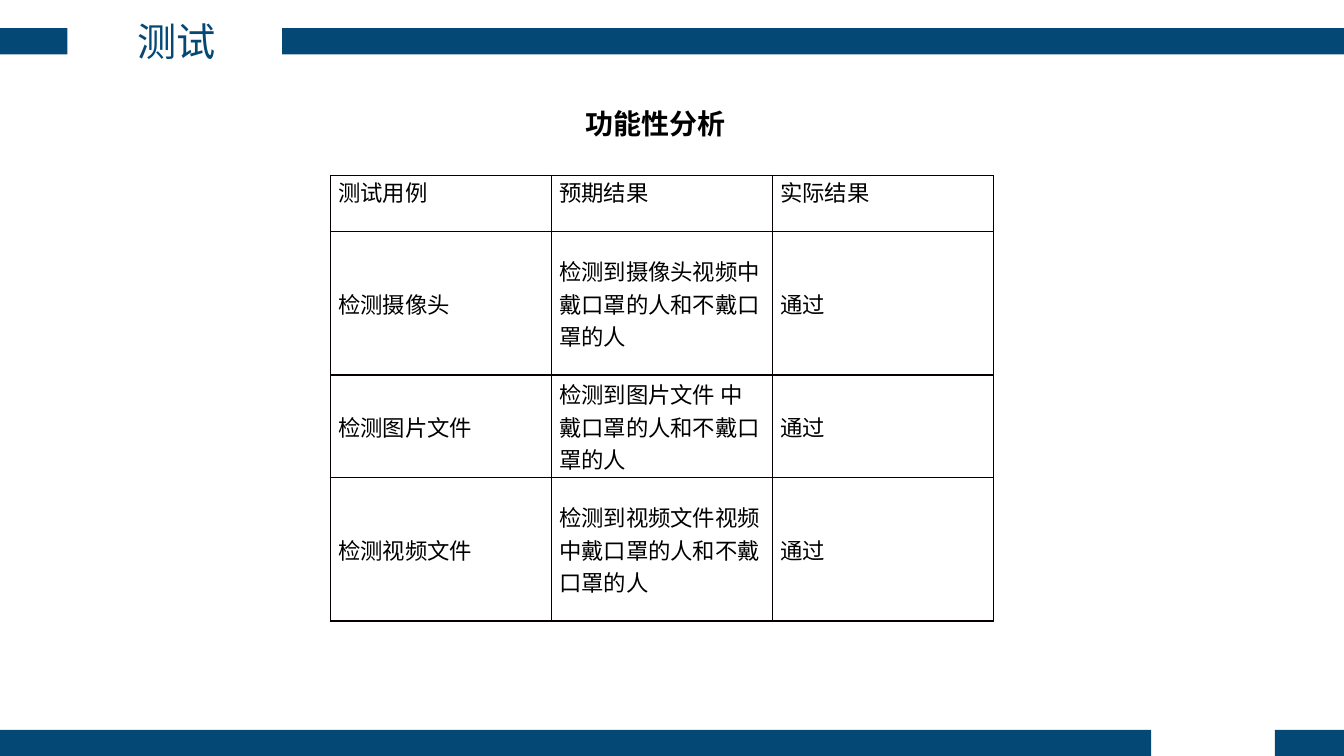
from lxml.etree import SubElement
from pptx import Presentation
from pptx.dml.color import RGBColor
from pptx.enum.shapes import MSO_SHAPE
from pptx.enum.text import MSO_ANCHOR, PP_ALIGN
from pptx.oxml.ns import qn
from pptx.util import Cm, Pt

COLORS = {"band": "044875", "text": "000000", "border": "080000"}
CJK_FONT = "Noto Sans CJK SC"
SLIDE_WIDTH, SLIDE_HEIGHT = 33.87, 19.05
BAND_HEIGHT = 0.66
ROW_HEIGHTS = [1.42, 3.61, 2.59, 3.61]
TEST_CASES = [
    ["测试用例", "预期结果", "实际结果"],
    ["检测摄像头", "检测到摄像头视频中戴口罩的人和不戴口罩的人", "通过"],
    ["检测图片文件", "检测到图片文件 中戴口罩的人和不戴口罩的人", "通过"],
    ["检测视频文件", "检测到视频文件视频中戴口罩的人和不戴口罩的人", "通过"],
]


def format_paragraph(paragraph, size, color, latin=CJK_FONT, bold=False):
    """Set the font of a paragraph for Latin and Chinese text."""
    font = paragraph.font
    font.size, font.bold, font.name = Pt(size), bold, latin
    font.color.rgb = RGBColor.from_string(COLORS[color])
    properties = paragraph._p.pPr.find(qn("a:defRPr"))
    SubElement(properties, qn("a:ea"), typeface=CJK_FONT)


def format_frame(frame):
    """Centre one line of text vertically in its box."""
    frame.margin_top = frame.margin_bottom = 0
    frame.margin_left = frame.margin_right = Cm(0.25)
    frame.vertical_anchor = MSO_ANCHOR.MIDDLE


def add_band(slide, top, gap_left, gap_right):
    """Draw a full-width band interrupted by one gap."""
    for left, right in ((0, gap_left), (gap_right, SLIDE_WIDTH)):
        band = slide.shapes.add_shape(
            MSO_SHAPE.RECTANGLE, Cm(left), Cm(top), Cm(right - left), Cm(BAND_HEIGHT))
        band.shadow.inherit = False
        band.fill.solid()
        band.fill.fore_color.rgb = RGBColor.from_string(COLORS["band"])
        band.line.fill.background()


def place_title(slide, text, left, top, width, height):
    """Place the slide title in the gap of the upper band."""
    title = slide.shapes.title
    title.left, title.top, title.width, title.height = map(Cm, (left, top, width, height))
    title.text_frame.text = text
    format_frame(title.text_frame)
    paragraph = title.text_frame.paragraphs[0]
    paragraph.alignment = PP_ALIGN.CENTER
    format_paragraph(paragraph, 28, "band")


def add_heading(slide, text, left, top, width, height):
    """Add the bold heading above the table."""
    heading = slide.shapes.add_textbox(*map(Cm, (left, top, width, height)))
    frame = heading.text_frame
    frame.text = text
    frame.word_wrap = True
    format_frame(frame)
    format_paragraph(frame.paragraphs[0], 20, "text", "Calibri", True)


def add_borders(cell):
    """Give a cell a thin line on all four sides."""
    properties = cell._tc.get_or_add_tcPr()
    for index, side in enumerate(("lnL", "lnR", "lnT", "lnB")):
        line = properties.makeelement(qn(f"a:{side}"), {"w": str(Pt(1))})
        fill = SubElement(line, qn("a:solidFill"))
        SubElement(fill, qn("a:srgbClr"), val=COLORS["border"])
        properties.insert(index, line)


def add_test_table(slide, left, top, width):
    """Add the table of test cases with equal columns."""
    frame = slide.shapes.add_table(
        len(TEST_CASES), len(TEST_CASES[0]),
        Cm(left), Cm(top), Cm(width), Cm(sum(ROW_HEIGHTS)))
    table = frame.table
    table.first_row = table.horz_banding = False
    for row_index, (height, texts) in enumerate(zip(ROW_HEIGHTS, TEST_CASES)):
        table.rows[row_index].height = Cm(height)
        for column_index, text in enumerate(texts):
            cell = table.cell(row_index, column_index)
            cell.text = text
            cell.margin_left = cell.margin_right = Cm(0.19)
            cell.margin_top = cell.margin_bottom = 0
            cell.vertical_anchor = MSO_ANCHOR.MIDDLE if row_index else MSO_ANCHOR.TOP
            cell.fill.background()
            add_borders(cell)
            format_paragraph(cell.text_frame.paragraphs[0], 16, "text")


def main():
    """Build and save the test results slide."""
    presentation = Presentation()
    presentation.slide_width = Cm(SLIDE_WIDTH)
    presentation.slide_height = Cm(SLIDE_HEIGHT)
    slide = presentation.slides.add_slide(presentation.slide_layouts.get_by_name("Title Only"))
    add_band(slide, 0.71, 1.7, 7.11)
    place_title(slide, "测试", 1.78, 0.3, 5.33, 1.45)
    add_band(slide, SLIDE_HEIGHT - BAND_HEIGHT, 29.01, 32.13)
    add_heading(slide, "功能性分析", 14.5, 2.54, 4.88, 1.12)
    add_test_table(slide, 8.33, 4.42, 16.71)
    presentation.save("out.pptx")


if __name__ == "__main__":
    main()
